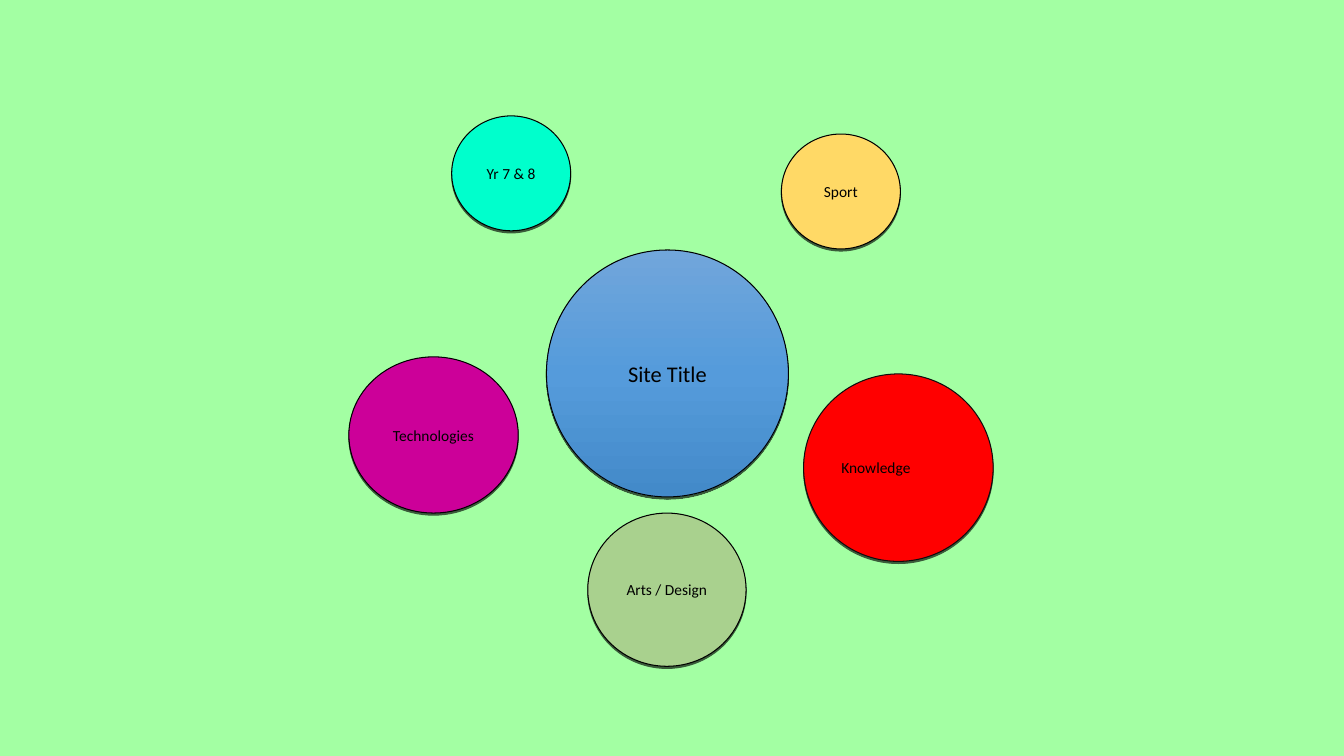
from copy import deepcopy
from dataclasses import dataclass

from lxml.etree import SubElement
from pptx import Presentation
from pptx.dml.color import RGBColor
from pptx.enum.shapes import MSO_SHAPE
from pptx.enum.text import MSO_ANCHOR, PP_ALIGN
from pptx.oxml.ns import qn
from pptx.shapes.autoshape import Shape
from pptx.slide import Slide
from pptx.util import Emu, Pt

PX = 9144  # EMU per px, 100 px to the inch


@dataclass(frozen=True)
class Bubble:
    text: str
    left: int
    top: int
    width: int
    height: int
    fills: tuple[str, ...]
    size: int = 11
    line: str = "000000"
    align: PP_ALIGN = PP_ALIGN.CENTER


BUBBLES = [
    Bubble("Site Title", 542, 248, 240, 245, ("71A6DB", "559BDB", "438AC9"), size=16),
    Bubble("Technologies", 346, 354, 168, 155, ("CC0099",)),
    Bubble("Arts / Design", 583, 509, 157, 152, ("A9D18E",)),
    Bubble("Yr 7 & 8", 448, 115, 118, 114, ("00FFCC",)),
    Bubble("Sport", 775, 133, 118, 114, ("FFD966",)),
    Bubble("Knowledge", 797, 371, 188, 186, ("FF0000",), line="0D0D0D",
           align=PP_ALIGN.LEFT),
]


def px(count: int) -> Emu:
    return Emu(count * PX)


def color(code: str) -> RGBColor:
    return RGBColor.from_string(code)


def paint(shape: Shape, fills: tuple[str, ...]) -> None:
    """Fill with one colour, or with an even gradient from top to bottom."""
    fill = shape.fill
    if len(fills) == 1:
        fill.solid()
        fill.fore_color.rgb = color(fills[0])
        return
    fill.gradient()
    fill.gradient_angle = 270
    stops = shape._element.spPr.find(".//" + qn("a:gsLst"))
    for _ in fills[2:]:
        stops.append(deepcopy(stops[0]))
    for i, (stop, code) in enumerate(zip(fill.gradient_stops, fills)):
        stop.position = i / (len(fills) - 1)
        stop.color.rgb = color(code)


def add_shadow(shape: Shape) -> None:
    shape.shadow.inherit = False
    effects = shape._element.spPr.find(qn("a:effectLst"))
    outer = SubElement(effects, qn("a:outerShdw"), blurRad="0", dist=str(Pt(1.5)),
                       dir="5400000", algn="ctr", rotWithShape="0")
    tint = SubElement(outer, qn("a:srgbClr"), val="000000")
    SubElement(tint, qn("a:alpha"), val="63000")


def add_bubble(slide: Slide, bubble: Bubble) -> None:
    shape = slide.shapes.add_shape(
        MSO_SHAPE.OVAL, px(bubble.left), px(bubble.top),
        px(bubble.width), px(bubble.height))
    paint(shape, bubble.fills)
    shape.line.color.rgb = color(bubble.line)
    shape.line.width = Pt(0.75)
    add_shadow(shape)
    frame = shape.text_frame
    frame.word_wrap = True
    frame.vertical_anchor = MSO_ANCHOR.MIDDLE
    para = frame.paragraphs[0]
    para.text = bubble.text
    para.alignment = bubble.align
    para.font.name = "Calibri"
    para.font.size = Pt(bubble.size)
    para.font.color.rgb = color("000000")


def main() -> None:
    deck = Presentation()
    deck.slide_width, deck.slide_height = px(1333), px(750)
    slide = deck.slides.add_slide(deck.slide_layouts[6])
    back = slide.background.fill
    back.solid()
    back.fore_color.rgb = color("A3FFA3")
    for bubble in BUBBLES:
        add_bubble(slide, bubble)
    deck.save("out.pptx")


if __name__ == "__main__":
    main()
